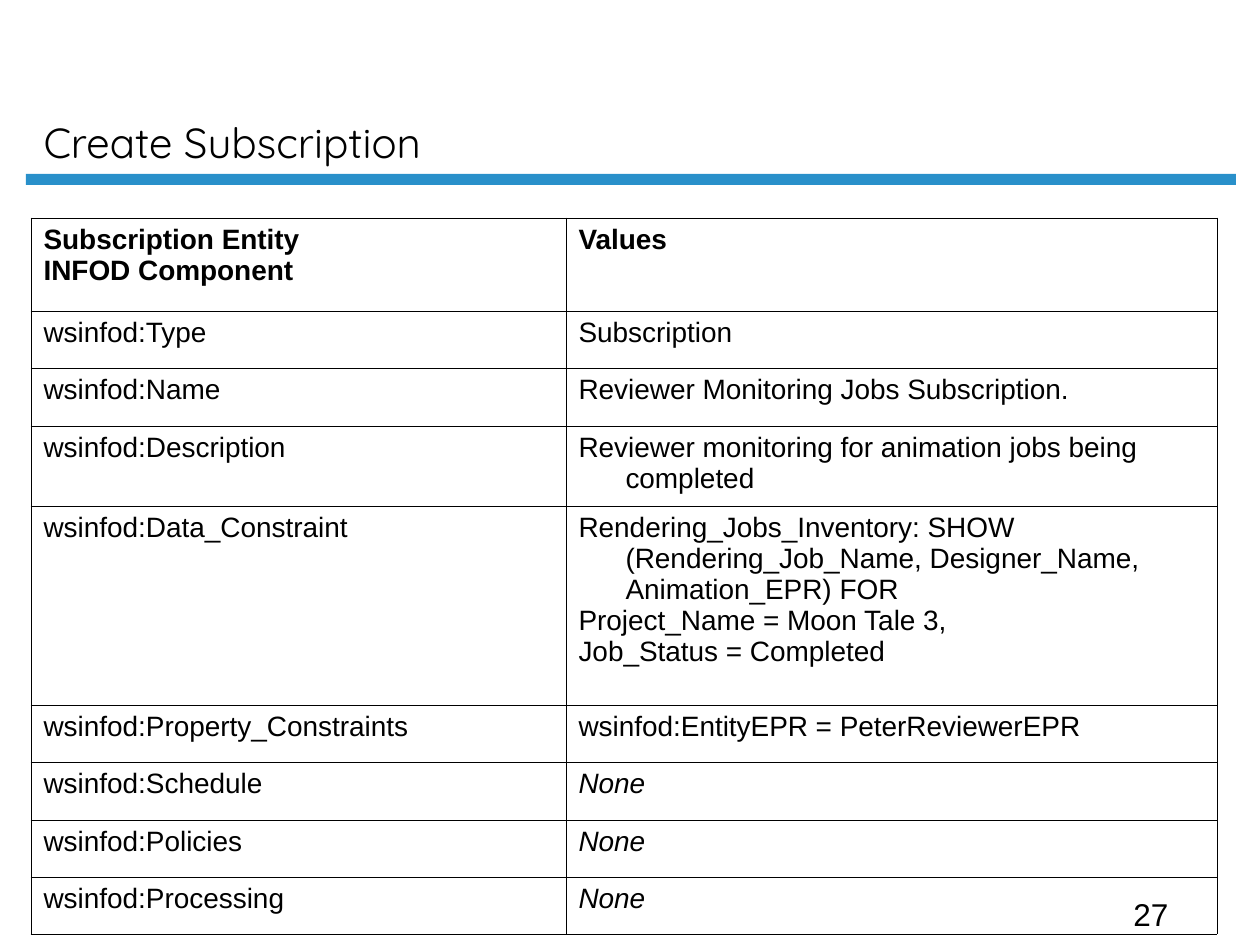
from lxml import etree
from pptx import Presentation
from pptx.dml.color import RGBColor
from pptx.enum.shapes import MSO_SHAPE
from pptx.enum.text import MSO_ANCHOR, MSO_AUTO_SIZE, PP_ALIGN
from pptx.oxml.ns import qn
from pptx.util import Pt

RECTANGLE = MSO_SHAPE.RECTANGLE
BOTTOM = MSO_ANCHOR.BOTTOM
FIXED_SIZE = MSO_AUTO_SIZE.NONE
LEFT = PP_ALIGN.LEFT

TITLE = "Create Subscription"
PAGE_NUMBER = "27"
# (component lines, value lines, row height in px)
ROWS = [
    (["Subscription Entity", "INFOD Component"], ["Values"], 93),
    (["wsinfod:Type"], ["Subscription"], 57),
    (["wsinfod:Name"], ["Reviewer Monitoring Jobs Subscription."], 58),
    (["wsinfod:Description"],
     ["Reviewer monitoring for animation jobs being completed"], 80),
    (["wsinfod:Data_Constraint"],
     ["Rendering_Jobs_Inventory: SHOW (Rendering_Job_Name, Designer_Name, "
      "Animation_EPR) FOR",
      "Project_Name = Moon Tale 3,",
      "Job_Status = Completed"], 199),
    (["wsinfod:Property_Constraints"], ["wsinfod:EntityEPR = PeterReviewerEPR"], 57),
    (["wsinfod:Schedule"], ["None"], 58),
    (["wsinfod:Policies"], ["None"], 57),
    (["wsinfod:Processing"], ["None"], 57),
]
COLUMN_WIDTHS = [535, 651]

COLORS = {"text": "000000", "border": "000000", "bar": "2990CA"}
TITLE_FONT = {"name": "Quicksand", "size": Pt(24)}
NUMBER_FONT = {"name": "Arial", "size": Pt(18)}
CELL_FONT = {"name": "Arial", "size": Pt(16)}
BORDER_WIDTH = Pt(0.45)
HANGING_INDENT = 47


def px(length):
    """Convert px to EMU at 126 px to the inch."""
    return round(length * 914400 / 126)


def box(*lengths):
    return [px(length) for length in lengths]


def format_font(font, settings):
    for attribute, value in settings.items():
        setattr(font, attribute, value)
    font.color.rgb = RGBColor.from_string(COLORS["text"])


def write_lines(frame, lines, settings, indent=0):
    """Fill a text frame with one left-aligned paragraph per line."""
    frame.text = "\n".join(lines)
    for paragraph in frame.paragraphs:
        paragraph.alignment = LEFT
        if indent:
            properties = paragraph._p.get_or_add_pPr()
            properties.set("marL", str(px(indent)))
            properties.set("indent", str(-px(indent)))
        format_font(paragraph.font, settings)


def add_borders(cell):
    properties = cell._tc.get_or_add_tcPr()
    for side in ("a:lnL", "a:lnR", "a:lnT", "a:lnB"):
        line = etree.SubElement(properties, qn(side), w=str(BORDER_WIDTH))
        fill = etree.SubElement(line, qn("a:solidFill"))
        etree.SubElement(fill, qn("a:srgbClr"), val=COLORS["border"])


def add_title(slide):
    title = slide.shapes.title
    title.left, title.top, title.width, title.height = box(31, 15, 1079, 158)
    frame = title.text_frame
    frame.auto_size = FIXED_SIZE
    frame.vertical_anchor = BOTTOM
    write_lines(frame, [TITLE], TITLE_FONT)


def add_bar(slide):
    bar = slide.shapes.add_shape(RECTANGLE, *box(26, 174, 1210, 11))
    bar.shadow.inherit = False
    bar.fill.solid()
    bar.fill.fore_color.rgb = RGBColor.from_string(COLORS["bar"])
    bar.line.fill.background()


def add_page_number(slide):
    frame = slide.shapes.add_textbox(*box(1121, 889, 169, 50)).text_frame
    frame.word_wrap = True
    write_lines(frame, [PAGE_NUMBER], NUMBER_FONT)


def add_subscription_table(slide):
    total_height = sum(height for *_, height in ROWS)
    table = slide.shapes.add_table(
        len(ROWS), len(COLUMN_WIDTHS),
        *box(31, 218, sum(COLUMN_WIDTHS), total_height)).table
    table.first_row = table.horz_banding = False
    for column, width in zip(table.columns, COLUMN_WIDTHS):
        column.width = px(width)
    for index, (*entries, height) in enumerate(ROWS):
        table.rows[index].height = px(height)
        for cell, lines in zip(table.rows[index].cells, entries):
            settings = {**CELL_FONT, "bold": index == 0, "italic": lines == ["None"]}
            write_lines(cell.text_frame, lines, settings, HANGING_INDENT)
            add_borders(cell)
            cell.fill.background()


def main():
    presentation = Presentation()
    presentation.slide_width, presentation.slide_height = box(1260, 945)
    slide = presentation.slides.add_slide(presentation.slide_layouts[5])
    add_title(slide)
    add_bar(slide)
    add_page_number(slide)
    add_subscription_table(slide)
    presentation.save("out.pptx")


if __name__ == "__main__":
    main()
